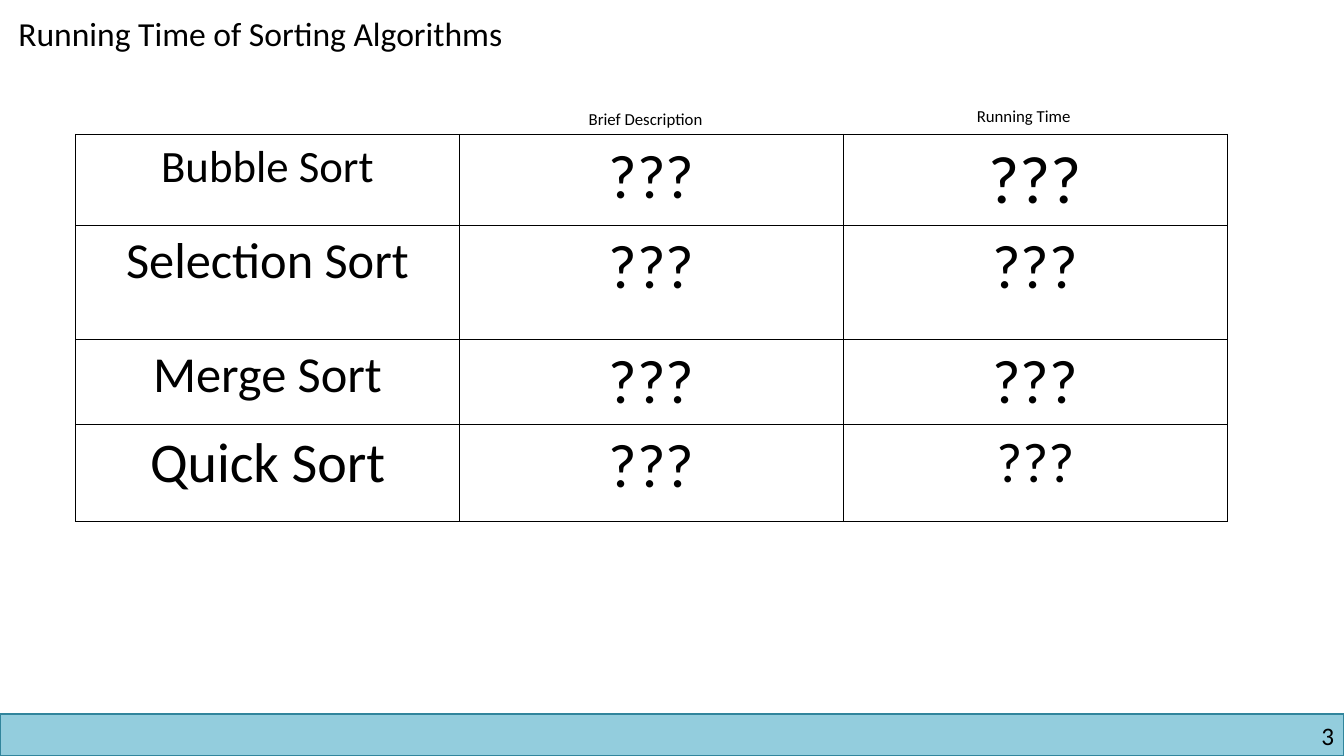
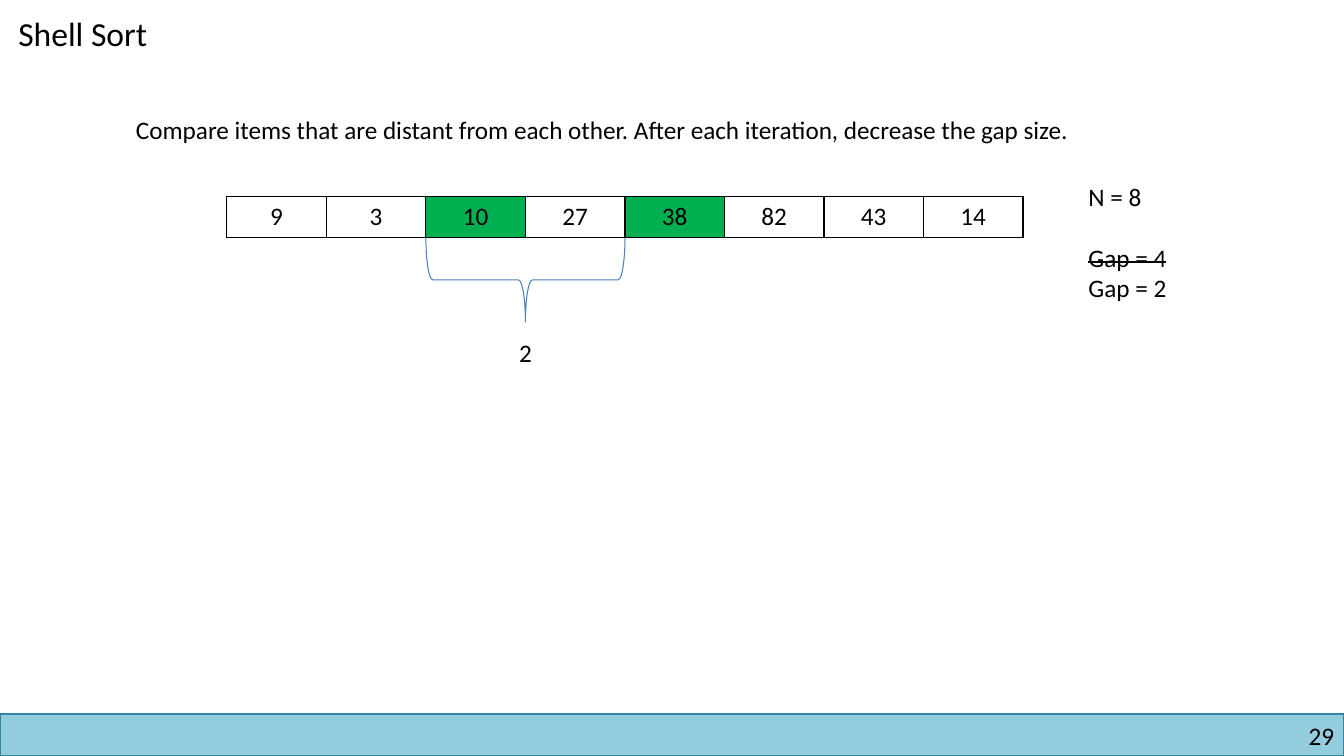
from lxml.etree import SubElement
from pptx import Presentation
from pptx.dml.color import RGBColor
from pptx.enum.shapes import MSO_SHAPE
from pptx.enum.text import PP_ALIGN
from pptx.oxml.ns import qn
from pptx.util import Inches, Pt

COLORS = {"black": "000000", "white": "FFFFFF", "green": "00B050",
          "band": "93CDDD", "band_line": "31859C", "brace": "4B7EBC"}
FONT = "Calibri"

# A grid of 160 columns by 90 rows covers the slide
COLUMNS, ROWS = 160, 90
UNIT = Inches(7.5) / ROWS


def write(frame, text, size=18, align=PP_ALIGN.LEFT, strike=False, space_before=0):
    """Fill the first paragraph of the frame, or add one below the text already there."""
    frame.word_wrap = True
    paragraph = frame.add_paragraph() if frame.text else frame.paragraphs[0]
    paragraph.alignment = align
    paragraph.space_before = Pt(space_before)
    run = paragraph.add_run()
    run.text = text
    run.font.name = FONT
    run.font.size = Pt(size)
    run.font.color.rgb = RGBColor.from_string(COLORS["black"])
    if strike:
        run._r.get_or_add_rPr().set("strike", "sngStrike")


def add_grid(slide, left, top, column_width, row_heights, rows, green_columns=()):
    """Add a bordered table; each row lists (text, size) pairs."""
    count = len(rows[0])
    table = slide.shapes.add_table(
        len(rows), count, *(round(n * UNIT) for n in
                            (left, top, column_width * count, sum(row_heights)))).table
    table.first_row = table.horz_banding = False
    for column in table.columns:
        column.width = round(column_width * UNIT)
    for row, height, values in zip(table.rows, row_heights, rows):
        row.height = round(height * UNIT)
        for index, (cell, (text, size)) in enumerate(zip(row.cells, values)):
            write(cell.text_frame, text, size, PP_ALIGN.CENTER)
            properties = cell._tc.get_or_add_tcPr()
            for side in ("a:lnL", "a:lnR", "a:lnT", "a:lnB"):
                line = SubElement(properties, qn(side), w=str(Pt(1)))
                fill = SubElement(line, qn("a:solidFill"))
                SubElement(fill, qn("a:srgbClr"), val=COLORS["black"])
            cell.fill.solid()
            color = "green" if index in green_columns else "white"
            cell.fill.fore_color.rgb = RGBColor.from_string(COLORS[color])


presentation = Presentation()
presentation.slide_width = round(COLUMNS * UNIT)
presentation.slide_height = round(ROWS * UNIT)

# Array of the second slide, with the brace under two of its cells
ARRAY = [9, 3, 10, 27, 38, 82, 43, 14]
ARRAY_LEFT, ARRAY_TOP, CELL_WIDTH, CELL_HEIGHT = 27, 23.4, 11.85, 4.92
FIRST, GAP = 2, 2
BRACE_DEPTH, BRACE_SPAN = 10, GAP * CELL_WIDTH
BRACE_CENTER = ARRAY_LEFT + FIRST * CELL_WIDTH + BRACE_SPAN / 2
BRACE_MIDDLE = ARRAY_TOP + CELL_HEIGHT + BRACE_DEPTH / 2

# Title, number and labels: left, top, width, height, list of (text, format)
PAGES = [
    ("Running Time of Sorting Algorithms", "3", [
        (68.9, 12.4, 20, 3.6, [("Brief Description", {"size": 12})]),
        (115.1, 12, 20, 3.6, [("Running Time", {"size": 12})]),
    ]),
    ("Shell Sort", "29", [
        (15, 13, 130, 4.8, [("Compare items that are distant from each other. "
                             "After each iteration, decrease the gap size.", {})]),
        (128.4, 21, 20, 15.7, [("N = 8", {}),
                               ("Gap = 4", {"strike": True, "space_before": 22}),
                               ("Gap = 2", {})]),
        (BRACE_CENTER - 4, 39.6, 8, 4.8, [(str(GAP), {"align": PP_ALIGN.CENTER})]),
    ]),
]

for title, number, labels in PAGES:
    slide = presentation.slides.add_slide(presentation.slide_layouts[6])

    # Footer band
    band = slide.shapes.add_shape(MSO_SHAPE.RECTANGLE, 0, round(85 * UNIT),
                                  round(COLUMNS * UNIT), round(5 * UNIT))
    band.shadow.inherit = False
    band.fill.solid()
    band.fill.fore_color.rgb = RGBColor.from_string(COLORS["band"])
    band.line.color.rgb = RGBColor.from_string(COLORS["band_line"])
    band.line.width = Pt(1)

    # Slide number, title and labels
    shared = [(120, 85.2, 40, 4.8, [(number, {"align": PP_ALIGN.RIGHT})]),
              (1, 1, 150, 6, [(title, {"size": 24})])]
    for *place, lines in shared + labels:
        box = slide.shapes.add_textbox(*(round(n * UNIT) for n in place))
        for text, style in lines:
            write(box.text_frame, text, **style)

running_time_slide, shell_sort_slide = presentation.slides

# Table of algorithms
add_grid(running_time_slide, 9, 16, 45.7, [10.8, 13.6, 10.1, 11.6], [
    [("Bubble Sort", 32), ("???", 44), ("???", 48)],
    [("Selection Sort", 36), ("???", 44), ("???", 44)],
    [("Merge Sort", 36), ("???", 44), ("???", 44)],
    [("Quick Sort", 40), ("???", 44), ("???", 40)],
])

# Array with the compared items in green
add_grid(shell_sort_slide, ARRAY_LEFT, ARRAY_TOP, CELL_WIDTH, [CELL_HEIGHT],
         [[(str(value), 18) for value in ARRAY]], (FIRST, FIRST + GAP))

# Brace, turned to open upwards
brace = shell_sort_slide.shapes.add_shape(MSO_SHAPE.LEFT_BRACE, *(round(n * UNIT) for n in (
    BRACE_CENTER - BRACE_DEPTH / 2, BRACE_MIDDLE - BRACE_SPAN / 2, BRACE_DEPTH, BRACE_SPAN)))
brace.rotation = 270
brace.shadow.inherit = False
brace.fill.background()
brace.line.color.rgb = RGBColor.from_string(COLORS["brace"])
brace.line.width = Pt(0.75)

presentation.save("out.pptx")
